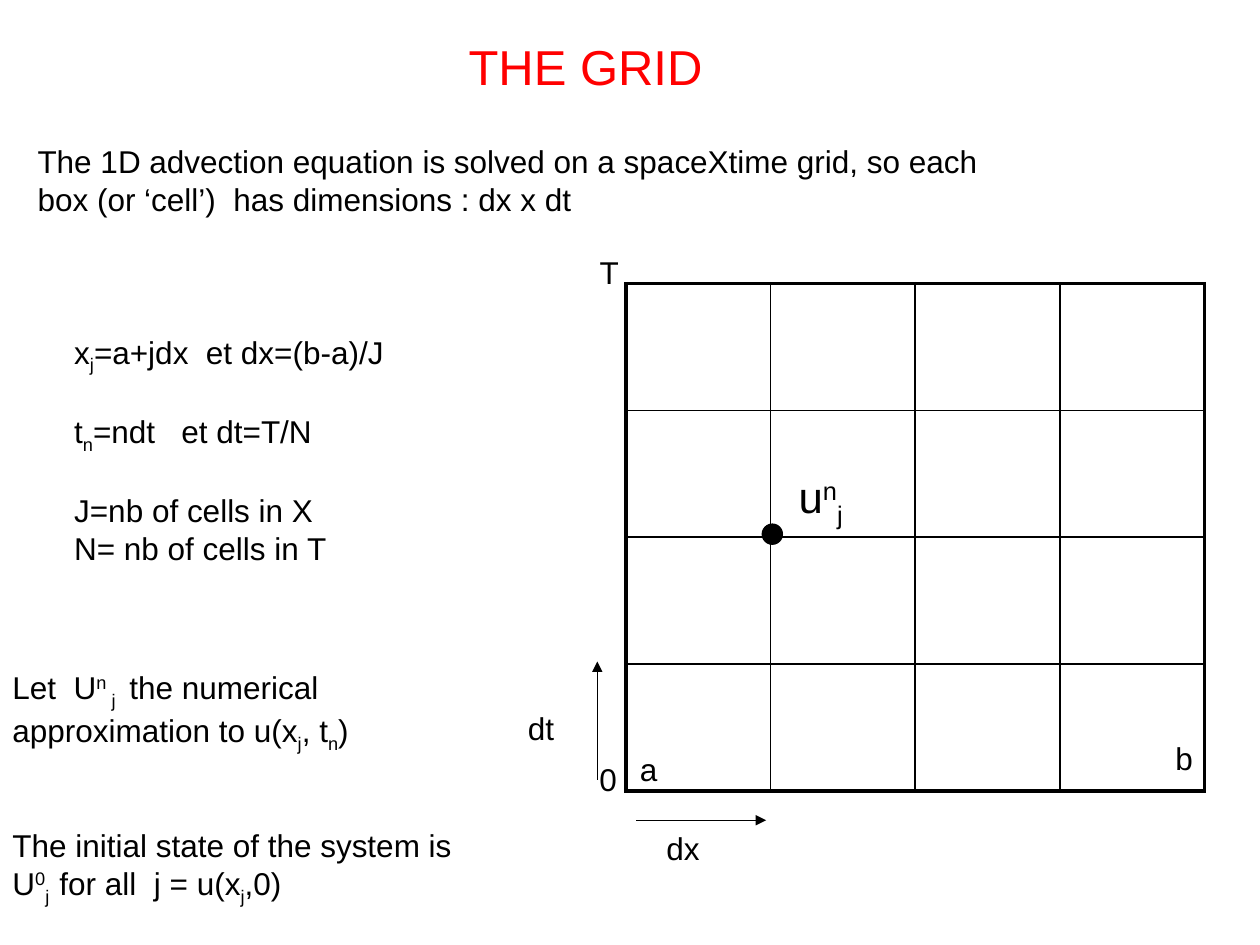
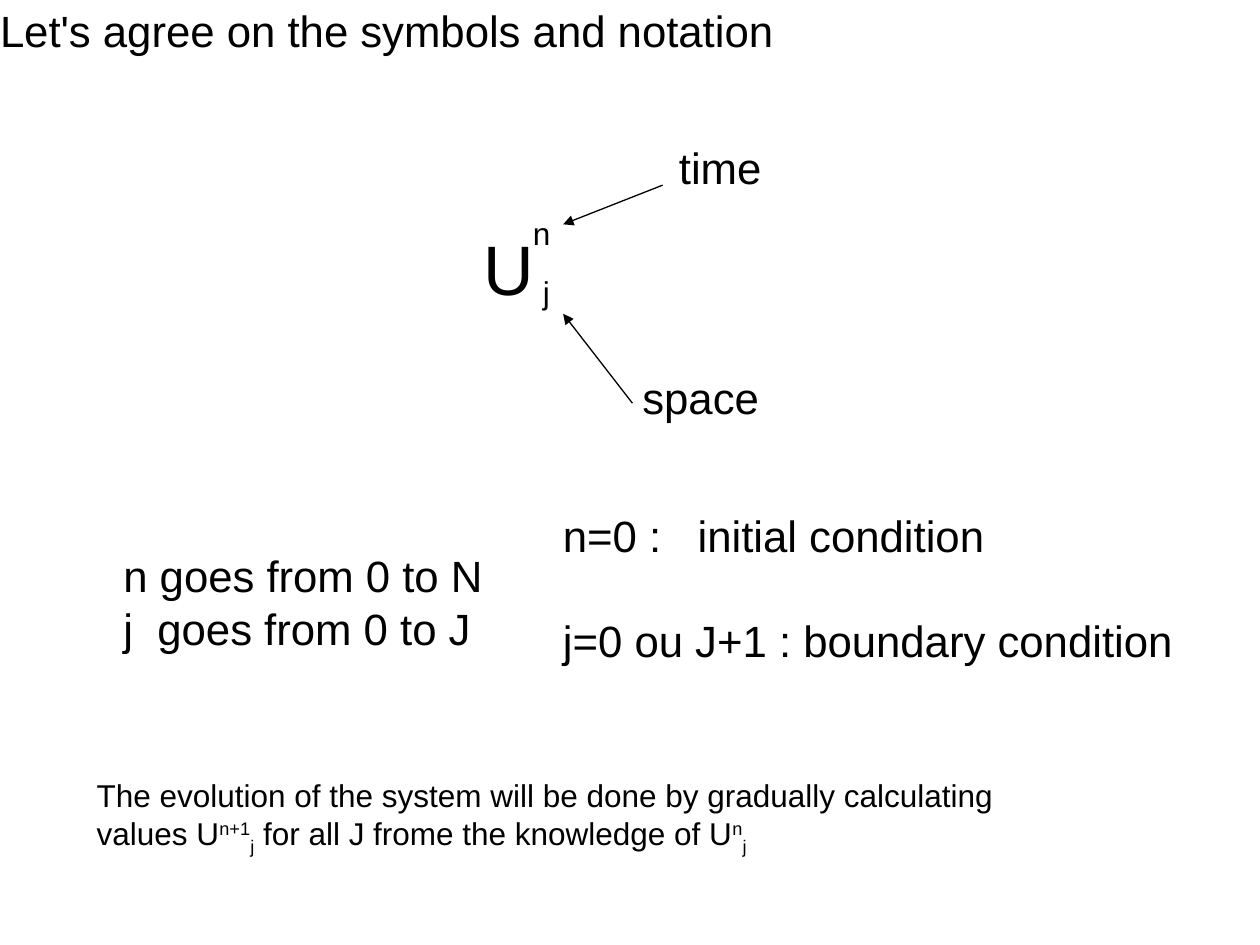
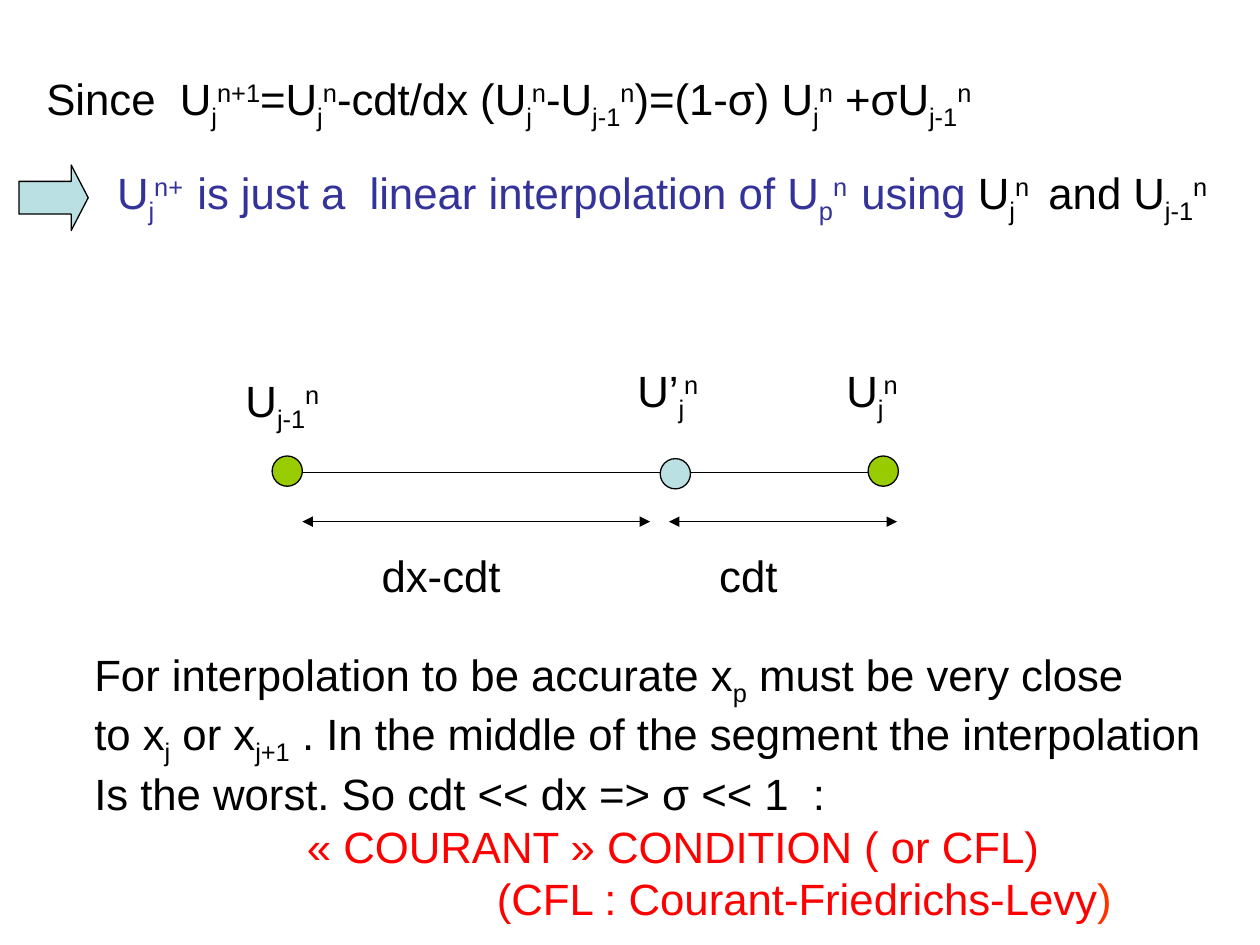
from dataclasses import dataclass

from lxml.etree import SubElement
from pptx import Presentation
from pptx.dml.color import RGBColor
from pptx.enum.shapes import MSO_CONNECTOR, MSO_SHAPE
from pptx.enum.text import MSO_ANCHOR, MSO_AUTO_SIZE, PP_ALIGN
from pptx.oxml.ns import qn
from pptx.util import Pt

# Shared style
FONT = "Arial"
BLACK, RED, ORANGE = "000000", "FF0000", "FF3300"
BLUE, PALE, GREEN = "333399", "BBE0E3", "99CC00"
SMALL, LARGE = 18, 25
THIN, INNER, OUTER = 0.75, 1, 2.25
LINE_GAP = 20.7  # one line of small text
BASELINES = {"_": "-25000", "^": "30000"}
TITLE_ONLY, BLANK = 5, 6


@dataclass
class Para:
    """Spans are (markup, colour) pairs; _{x} lowers x and ^{x} raises it."""
    spans: list
    gap: float = 0
    indent: float = 0


@dataclass
class Text:
    area: tuple  # left, top, width, height
    size: float
    paras: list
    wrap: bool = False


def plain(markup, gap=0):
    return Para([(markup, BLACK)], gap)


def label(left, top, width, markup, size=LARGE, wrap=False):
    return Text((left, top, width, 37.4 if size == LARGE else 29), size,
                [plain(markup)], wrap)


# Slide 1: the grid
GRID_TITLE = Text((260.6, 17.3, 149.8, 41), 28, [Para([("THE GRID", RED)])])
GRID_AREA = (357.8, 162, 330.5, 290)
GRID_CELLS = 4
GRID_TEXTS = [
    Text((14.4, 77.8, 551.5, 51), SMALL, [plain(
        "The 1D advection equation is solved on a spaceXtime grid, so each\n"
        "box (or ‘cell’)  has dimensions : dx x dt")]),
    Text((35.3, 186.5, 245.5, 136.8), SMALL, [
        plain("x_{j}=a+jdx  et dx=(b-a)/J"),
        plain("t_{n}=ndt   et dt=T/N", LINE_GAP),
        plain("J=nb of cells in X", LINE_GAP),
        plain("N= nb of cells in T")], wrap=True),
    Text((0, 378, 297.4, 138.2), SMALL, [
        plain("Let  U^{n }_{j } the numerical approximation to u(x_{j}, t_{n})"),
        plain("The initial state of the system is \n"
              "U^{0}_{j  }for all  j = u(x_{j},0)", 2 * LINE_GAP)], wrap=True),
    label(373.7, 470.2, 33.8, "dx", SMALL),
    label(294.5, 401.8, 29.5, "dt", SMALL),
    label(335.5, 430.6, 24.5, "0", SMALL),
    label(335.5, 141.1, 25.2, "T", SMALL),
    label(358.6, 424.8, 24.5, "a", SMALL),
    label(664.6, 419, 24.5, "b", SMALL),
    label(449.3, 265, 41.8, "u^{n}_{j}"),
]
# Lines: start, end, arrow at start, arrow at end
GRID_LINES = [((363.6, 468.7), (437.8, 468.7), False, True),
              ((341.3, 445.7), (341.3, 378), False, True)]
GRID_SHAPES = [(MSO_SHAPE.OVAL, (435.6, 299.5, 11.5, 11.5), BLACK)]

# Slide 2: notation
NOTATION_TITLE = Text((-7.2, -1.4, 461.5, 37.4), LARGE,
                      [plain("Let's agree on the symbols and notation")])
NOTATION_TEXTS = [
    Text((269.3, 125.3, 43.2, 55.4), 40, [plain("U")]),
    label(303.1, 152.6, 18.7, "j", SMALL),
    label(297.4, 118.8, 24.5, "n", SMALL),
    label(360, 208.1, 82.1, "space"),
    label(380.9, 77, 61.9, "time"),
    Text((63.4, 310.3, 222.5, 67.7), LARGE,
         [plain("n goes from 0 to N"), plain("j  goes from 0 to J")]),
    Text((314.6, 287.3, 366.5, 97.9), LARGE,
         [plain("n=0 :   initial condition"),
          plain("j=0 ou J+1 : boundary condition", 30)]),
    Text((48.2, 439.9, 531.4, 51.1), SMALL, [plain(
        "The evolution of the system will be done by gradually calculating\n"
        "values U^{n+1}_{j} for all J frome the knowledge of U^{n}_{j}")]),
]
NOTATION_LINES = [((361.4, 230.4), (321.8, 179.3), False, True),
                  ((378.7, 105.8), (321.8, 128.2), False, True)]

# Slide 3: interpolation
INTERPOLATION_TEXTS = [
    label(19.4, 37.4, 565.2,
          "Since  U_{j}^{n+1}=U_{j}^{n}-cdt/dx (U_{j}^{n}-U_{j-1}^{n})"
          "=(1-σ) U_{j}^{n} +σU_{j-1}^{n}"),
    Text((59.8, 91.4, 667.4, 37.4), LARGE, [Para([
        ("U_{j}^{n+  }is just a  linear interpolation of U_{p}^{n  }using ", BLUE),
        ("U_{j}^{n } and U_{j-1}^{n}", BLACK)])], wrap=True),
    label(133.2, 210.2, 64.8, "U_{j-1}^{n}", wrap=True),
    label(476.6, 204.5, 64.8, "U_{j}^{n}", wrap=True),
    label(357.1, 204.5, 64.8, "U’_{j}^{n}", wrap=True),
    label(211, 310.3, 82.8, "dx-cdt"),
    label(403.9, 310.3, 47.5, "cdt"),
    Text((46.8, 366.5, 676.1, 158.4), LARGE, [
        plain("For interpolation to be accurate x_{p} must be very close"),
        plain("to x_{j} or x_{j+1} . In the middle of the segment the interpolation"),
        plain("Is the worst. So cdt << dx => σ << 1  :"),
        Para([("« COURANT » CONDITION ( or CFL)", RED)], indent=121.5),
        Para([("(CFL : Courant-Friedrichs-Levy", RED), (")", ORANGE)],
             indent=230)], wrap=True),
]
INTERPOLATION_LINES = [((167, 270), (507.6, 270), False, False),
                       ((172.8, 298.1), (371.5, 298.1), True, True),
                       ((382.3, 298.1), (512.6, 298.1), True, True)]
INTERPOLATION_SHAPES = [
    (MSO_SHAPE.RIGHT_ARROW, (10.8, 94.3, 39.6, 37.4), PALE),
    (MSO_SHAPE.OVAL, (377.3, 262.1, 17.3, 17.3), PALE),
    (MSO_SHAPE.OVAL, (155.5, 260.6, 17.3, 17.3), GREEN),
    (MSO_SHAPE.OVAL, (496.1, 260.6, 17.3, 17.3), GREEN),
]


def rgb(colour):
    return RGBColor.from_string(colour)


def points(values):
    return [Pt(value) for value in values]


def split_markup(markup):
    """Yield (text, baseline mark) pieces."""
    for piece in markup.split("}"):
        base, brace, script = piece.partition("{")
        if brace:
            yield base[:-1], ""
            yield script, base[-1]
        else:
            yield base, ""


def add_run(paragraph, text, size, colour, mark):
    span = paragraph.add_run()
    span.text = text
    span.font.name, span.font.size = FONT, Pt(size)
    span.font.color.rgb = rgb(colour)
    if mark:
        span.font._element.set("baseline", BASELINES[mark])


def fill_paragraph(paragraph, para, size):
    paragraph.alignment = PP_ALIGN.LEFT
    paragraph.space_before = Pt(para.gap)
    if para.indent:
        paragraph._p.get_or_add_pPr().set("marL", str(Pt(para.indent)))
    for markup, colour in para.spans:
        for text, mark in split_markup(markup):
            for number, line in enumerate(text.split("\n")):
                if number:
                    paragraph.add_line_break()
                if line:
                    add_run(paragraph, line, size, colour, mark)


def write(box, text):
    box.left, box.top, box.width, box.height = points(text.area)
    frame = box.text_frame
    frame.word_wrap = text.wrap
    frame.auto_size = MSO_AUTO_SIZE.SHAPE_TO_FIT_TEXT
    frame.vertical_anchor = MSO_ANCHOR.TOP
    for number, para in enumerate(text.paras):
        paragraph = frame.add_paragraph() if number else frame.paragraphs[0]
        fill_paragraph(paragraph, para, text.size)


def add_line(page, start, end, start_arrow, end_arrow):
    line = page.shapes.add_connector(MSO_CONNECTOR.STRAIGHT,
                                     *points(start + end))
    line.line.color.rgb = rgb(BLACK)
    line.line.width = Pt(THIN)
    outline = line.line._get_or_add_ln()
    for tag, wanted in (("a:headEnd", start_arrow), ("a:tailEnd", end_arrow)):
        if wanted:
            SubElement(outline, qn(tag), type="triangle")
    SubElement(line._element.spPr, qn("a:effectLst"))


def add_filled_shape(page, kind, area, colour):
    shape = page.shapes.add_shape(kind, *points(area))
    shape.shadow.inherit = False
    shape.fill.solid()
    shape.fill.fore_color.rgb = rgb(colour)
    shape.line.color.rgb = rgb(BLACK)
    shape.line.width = Pt(THIN)
    if kind == MSO_SHAPE.RIGHT_ARROW:
        shape.adjustments[1] = 0.26


def add_border(cell, side, width):
    border = SubElement(cell._tc.get_or_add_tcPr(), qn("a:ln" + side),
                        w=str(Pt(width)))
    fill = SubElement(border, qn("a:solidFill"))
    SubElement(fill, qn("a:srgbClr"), val=BLACK)


def add_grid(page, area, count):
    table = page.shapes.add_table(count, count, *points(area)).table
    table.first_row = table.horz_banding = False
    for column in table.columns:
        column.width = Pt(area[2] / count)
    for row in table.rows:
        row.height = Pt(area[3] / count)
    last = count - 1
    for row in range(count):
        for column in range(count):
            cell = table.cell(row, column)
            on_edge = {"L": column == 0, "R": column == last,
                       "T": row == 0, "B": row == last}
            for side, outer in on_edge.items():
                add_border(cell, side, OUTER if outer else INNER)
            cell.fill.background()


def add_page(deck, title, texts, lines, shapes=(), grid=None):
    layout = deck.slide_layouts[TITLE_ONLY if title else BLANK]
    page = deck.slides.add_slide(layout)
    if title:
        write(page.shapes.title, title)
    if grid:
        add_grid(page, *grid)
    for line in lines:
        add_line(page, *line)
    for shape in shapes:
        add_filled_shape(page, *shape)
    for text in texts:
        write(page.shapes.add_textbox(*points(text.area)), text)


def main():
    deck = Presentation()
    deck.slide_width, deck.slide_height = Pt(720), Pt(540)
    add_page(deck, GRID_TITLE, GRID_TEXTS, GRID_LINES, GRID_SHAPES,
             (GRID_AREA, GRID_CELLS))
    add_page(deck, NOTATION_TITLE, NOTATION_TEXTS, NOTATION_LINES)
    add_page(deck, None, INTERPOLATION_TEXTS, INTERPOLATION_LINES,
             INTERPOLATION_SHAPES)
    deck.save("out.pptx")


if __name__ == "__main__":
    main()
